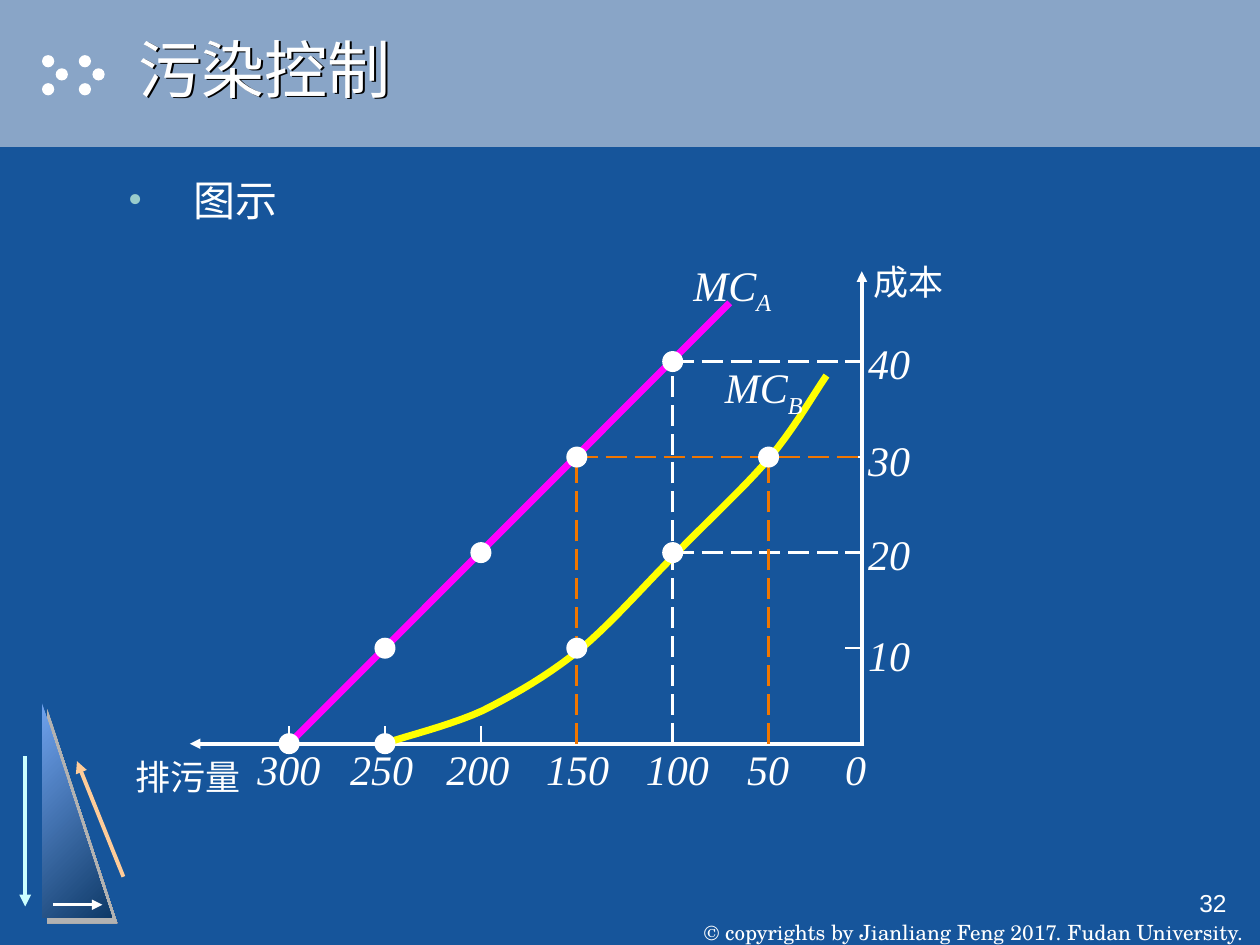
from dataclasses import dataclass
from typing import NamedTuple

from lxml import etree
from pptx import Presentation
from pptx.dml.color import RGBColor
from pptx.enum.dml import MSO_LINE
from pptx.enum.shapes import MSO_CONNECTOR, MSO_SHAPE
from pptx.enum.text import MSO_ANCHOR, MSO_AUTO_SIZE, PP_ALIGN
from pptx.oxml import parse_xml
from pptx.oxml.ns import qn
from pptx.util import Pt

STRAIGHT = MSO_CONNECTOR.STRAIGHT
RECTANGLE, OVAL, TRIANGLE = MSO_SHAPE.RECTANGLE, MSO_SHAPE.OVAL, MSO_SHAPE.RIGHT_TRIANGLE
LONG_DASH = MSO_LINE.LONG_DASH
TOP, MIDDLE, BOTTOM = MSO_ANCHOR.TOP, MSO_ANCHOR.MIDDLE, MSO_ANCHOR.BOTTOM
FIT_TEXT = MSO_AUTO_SIZE.SHAPE_TO_FIT_TEXT
LEFT, CENTER, RIGHT = PP_ALIGN.LEFT, PP_ALIGN.CENTER, PP_ALIGN.RIGHT
DRAWING_NS = "http://schemas.openxmlformats.org/drawingml/2006/main"


@dataclass(frozen=True)
class Theme:
    background: str = "16559B"
    band: str = "89A5C7"
    white: str = "FFFFFF"
    bullet: str = "99CCCC"
    cost_a: str = "FF00FF"
    cost_b: str = "FFFF00"
    optimum: str = "F07600"
    down_arrow: str = "CCFFFF"
    up_arrow: str = "FFCC99"
    gradient: tuple = ("6FA2ED", "0F3A68")
    triangle_shadow: str = "B2B2B2"
    title_shadow: str = "000000"
    serif: str = "Times New Roman"
    sans: str = "Arial"
    school: str = "TeX Gyre Schola"
    title_size: int = 36
    body_size: int = 24
    axis_size: int = 20
    number_size: int = 14
    copyright_size: int = 12


class Point(NamedTuple):
    x: float
    y: float


class Stroke(NamedTuple):
    color: str
    width: float
    dashed: bool = False
    arrow: bool = False


THEME = Theme()


class Label(NamedTuple):
    text: str
    center: float
    top: float
    width: float = 54
    height: float = 42
    size: int = THEME.body_size
    italic: bool = True
    subscript: str = ""


ORIGIN = Point(492.5, 425)
ZERO_EMISSION_X = 494
EMISSION_STEP, COST_STEP = 54.8, 54.6
DOT_SIZE = 12
X_LABEL_CENTERS = {0: 489, 50: 439, 100: 387, 150: 330, 200: 273, 250: 218, 300: 165}
Y_LABEL_TOPS = {10: 350.5, 20: 292.5, 30: 239, 40: 183.5}
COST_A_DOTS = [(200, 20), (100, 40), (150, 30), (250, 10), (300, 0)]
COST_B_DOTS = [(100, 20), (150, 10), (50, 30), (250, 0)]
COST_B_START = Point(220.3, 424.8)
COST_B_SEGMENTS = [
    (Point(229.7, 421.2), Point(257, 414.7), Point(275.8, 406.1)),
    (Point(294.5, 396.7), Point(313.2, 385.9), Point(331.9, 370.8)),
    (Point(349.9, 355.7), Point(368.6, 334.1), Point(386.6, 316.1)),
    (Point(404.6, 297.4), Point(426.2, 277.9), Point(440.6, 260.6)),
    (Point(454.3, 244.1), Point(465.8, 223.9), Point(472.3, 214.6)),
]


def rgb(color: str) -> RGBColor:
    return RGBColor.from_string(color)


def apply_format(target, values: dict) -> None:
    for name, value in values.items():
        setattr(target, name, value)


def add_shadow(shape, color: str, distance: float) -> None:
    shape.shadow.inherit = False
    shape._element.spPr.find(qn("a:effectLst")).append(parse_xml(
        f'<a:outerShdw xmlns:a="{DRAWING_NS}" blurRad="0" dist="{Pt(distance)}" dir="2700000" '
        f'algn="ctr" rotWithShape="0"><a:srgbClr val="{color}"/></a:outerShdw>'))


def plot(emission: float, cost: float) -> Point:
    return Point(ZERO_EMISSION_X - emission / 50 * EMISSION_STEP, ORIGIN.y - cost / 10 * COST_STEP)


def add_solid(slide, kind, left: float, top: float, width: float, height: float, color: str):
    solid = slide.shapes.add_shape(kind, Pt(left), Pt(top), Pt(width), Pt(height))
    solid.shadow.inherit = False
    solid.fill.solid()
    solid.fill.fore_color.rgb = rgb(color)
    solid.line.fill.background()
    return solid


def add_dot(slide, center: Point, size: float) -> None:
    add_solid(slide, OVAL, center.x - size / 2, center.y - size / 2, size, size, THEME.white)


def add_line(slide, start: Point, end: Point, stroke: Stroke) -> None:
    connector = slide.shapes.add_connector(STRAIGHT, *map(Pt, (*start, *end)))
    connector.line.color.rgb = rgb(stroke.color)
    connector.line.width = Pt(stroke.width)
    if stroke.dashed:
        connector.line.dash_style = LONG_DASH
    if stroke.arrow:
        etree.SubElement(connector.line._get_or_add_ln(), qn("a:tailEnd"), type="triangle")
    etree.SubElement(connector._element.spPr, qn("a:effectLst"))


def add_run(paragraph, text: str, font: str, size: int, italic: bool = False):
    run = paragraph.add_run()
    run.text = text
    run.font.color.rgb = rgb(THEME.white)
    apply_format(run.font, {"name": font, "size": Pt(size), "italic": italic})
    return run


def add_text_box(slide, left: float, top: float, width: float, height: float,
                 align, anchor=TOP, wrap: bool = True):
    box = slide.shapes.add_textbox(*map(Pt, (left, top, width, height)))
    apply_format(box.text_frame, {"word_wrap": wrap, "vertical_anchor": anchor})
    paragraph = box.text_frame.paragraphs[0]
    paragraph.alignment = align
    return box.text_frame, paragraph


def add_label(slide, label: Label) -> None:
    frame, paragraph = add_text_box(slide, label.center - label.width / 2, label.top,
                                    label.width, label.height, CENTER, wrap=False)
    frame.auto_size = FIT_TEXT
    paragraph.line_spacing = 1.2
    add_run(paragraph, label.text, THEME.serif, label.size, label.italic)
    if label.subscript:
        lowered = add_run(paragraph, label.subscript, THEME.serif, label.size, label.italic)
        lowered._r.get_or_add_rPr().set("baseline", "-25000")


def bezier(start: Point, first: Point, second: Point, end: Point, t: float) -> Point:
    return Point(*((1 - t) ** 3 * a + 3 * t * (1 - t) ** 2 * b + 3 * t * t * (1 - t) * c + t ** 3 * d
                   for a, b, c, d in zip(start, first, second, end)))


def add_cost_b_curve(slide) -> None:
    vertices, start = [], COST_B_START
    for first, second, end in COST_B_SEGMENTS:
        vertices += [bezier(start, first, second, end, i / 10) for i in range(1, 11)]
        start = end
    builder = slide.shapes.build_freeform(Pt(COST_B_START.x), Pt(COST_B_START.y))
    builder.add_line_segments([(Pt(x), Pt(y)) for x, y in vertices], close=False)
    curve = builder.convert_to_shape()
    curve.shadow.inherit = False
    curve.fill.background()
    curve.line.color.rgb = rgb(THEME.cost_b)
    curve.line.width = Pt(4)


def add_frame(slide) -> None:
    add_solid(slide, RECTANGLE, 0, 0, 720, 84, THEME.band)
    for left in (27.5, 48.5):
        for shift, y in ((0, 35), (7.8, 42.5), (0, 51)):
            add_dot(slide, Point(left + shift, y), 7)
    triangle = add_solid(slide, TRIANGLE, 24, 402, 40, 122.5, THEME.background)
    triangle.fill.gradient()
    triangle.fill.gradient_angle = 315
    for stop, color, position in zip(triangle.fill.gradient_stops, THEME.gradient, (0, 1)):
        stop.color.rgb = rgb(color)
        stop.position = position
    add_shadow(triangle, THEME.triangle_shadow, 4.2)
    add_line(slide, Point(14.4, 432), Point(14.4, 518), Stroke(THEME.down_arrow, 2.25, arrow=True))
    add_line(slide, Point(70.5, 501), Point(44, 435), Stroke(THEME.up_arrow, 2.25, arrow=True))
    add_line(slide, Point(30.5, 517), Point(58.5, 517), Stroke(THEME.white, 1.5, arrow=True))
    frame, notice = add_text_box(slide, 392, 504, 329, 36, CENTER, BOTTOM, False)
    apply_format(frame, {"margin_top": 0, "margin_bottom": 0})
    add_run(notice, "© copyrights by Jianliang Feng 2017. Fudan University.",
            THEME.school, THEME.copyright_size)
    _, page = add_text_box(slide, 558, 504, 150, 36, RIGHT)
    add_run(page, "32", THEME.sans, THEME.number_size)


def add_heading(slide) -> None:
    title = slide.shapes.title
    title._element.getparent().append(title._element)
    apply_format(title, {"left": Pt(72), "top": Pt(0), "width": Pt(648), "height": Pt(78)})
    title.text_frame.vertical_anchor = MIDDLE
    heading = title.text_frame.paragraphs[0]
    heading.alignment = LEFT
    add_run(heading, "污染控制", THEME.sans, THEME.title_size)
    add_shadow(title, THEME.title_shadow, 1.2)
    _, topic = add_text_box(slide, 66, 96, 588, 40, LEFT)
    properties = topic._p.get_or_add_pPr()
    properties.set("marL", str(Pt(37.5)))
    properties.set("indent", str(Pt(-37.5)))
    bullet_color = etree.SubElement(properties, qn("a:buClr"))
    etree.SubElement(bullet_color, qn("a:srgbClr"), val=THEME.bullet)
    etree.SubElement(properties, qn("a:buFont"), typeface=THEME.serif)
    etree.SubElement(properties, qn("a:buChar"), char="•")
    add_run(topic, "图示", THEME.serif, THEME.body_size)


def add_diagram(slide) -> None:
    axis, tick = Stroke(THEME.white, 2, arrow=True), Stroke(THEME.white, 1.5)
    add_line(slide, Point(494, ORIGIN.y), Point(108.5, ORIGIN.y), axis)
    add_line(slide, ORIGIN, Point(ORIGIN.x, 155), axis)
    for emission, center in X_LABEL_CENTERS.items():
        foot = plot(emission, 0)
        if emission:
            add_line(slide, Point(foot.x, foot.y - 10), Point(foot.x, foot.y - 1), tick)
        add_label(slide, Label(str(emission), center, 415.5))
    for cost, top in Y_LABEL_TOPS.items():
        mark = plot(0, cost)
        add_line(slide, Point(mark.x - 2.5, mark.y), Point(mark.x - 11, mark.y), tick)
        add_label(slide, Label(str(cost), 508, top))
    add_label(slide, Label("排污量", 107.5, 423.5, 78, 36, THEME.axis_size, False))
    add_label(slide, Label("成本", 519, 140.5, 58, 36, THEME.axis_size, False))

    for color, across, down in ((THEME.white, [(100, 20), (100, 40)], [(100, 40)]),
                                (THEME.optimum, [(150, 30)], [(50, 30), (150, 30)])):
        guide = Stroke(color, 1.5, dashed=True)
        for emission, cost in across:
            add_line(slide, plot(emission, cost), plot(0, cost), guide)
        for emission, cost in down:
            add_line(slide, plot(emission, 0), plot(emission, cost), guide)

    add_line(slide, plot(300, 0), Point(417, 173), Stroke(THEME.cost_a, 4))
    for dot in COST_A_DOTS:
        add_dot(slide, plot(*dot), DOT_SIZE)
    add_label(slide, Label("MC", 418.5, 138, 60, 47, subscript="A"))
    add_cost_b_curve(slide)
    for dot in COST_B_DOTS:
        add_dot(slide, plot(*dot), DOT_SIZE)
    add_label(slide, Label("MC", 436.5, 196.5, 60, 47, subscript="B"))


def main() -> None:
    deck = Presentation()
    apply_format(deck, {"slide_width": Pt(720), "slide_height": Pt(540)})
    slide = deck.slides.add_slide(deck.slide_layouts[5])
    slide.background.fill.solid()
    slide.background.fill.fore_color.rgb = rgb(THEME.background)
    add_frame(slide)
    add_heading(slide)
    add_diagram(slide)
    deck.save("out.pptx")


if __name__ == "__main__":
    main()
